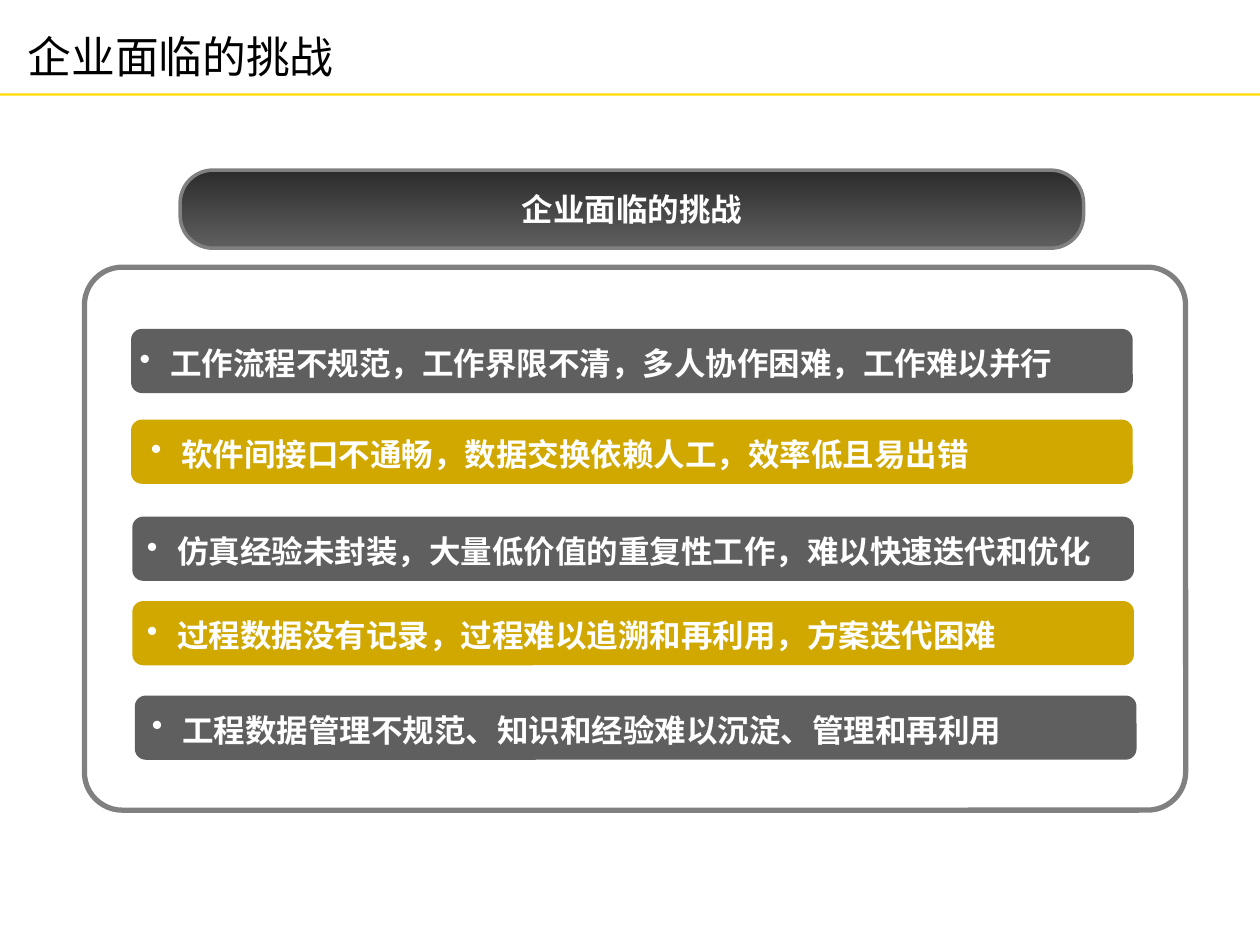
import pptx
import pptx.dml.color
import pptx.enum.shapes
import pptx.enum.text
import pptx.util
from lxml import etree

Inches = pptx.util.Inches
Pt = pptx.util.Pt
Align = pptx.enum.text.PP_ALIGN
Anchor = pptx.enum.text.MSO_ANCHOR
Preset = pptx.enum.shapes.MSO_SHAPE

FONT = "Arial"
GREY, GOLD, EDGE, WHITE = "5F5F5F", "D0A800", "808080", "FFFFFF"
TITLE = "企业面临的挑战"
BAR_WIDTH, BAR_HEIGHT = 7.95, 0.51
LABEL_WIDTH, LABEL_HEIGHT = 5.47, 0.36
LABEL_DROP = 0.09

# Bar left, bar top, label left, wording
CHALLENGES = [
    (1.04, 2.61, 1.46, "工作流程不规范，工作界限不清，多人协作困难，工作难以并行"),
    (1.04, 3.33, 1.09, "软件间接口不通畅，数据交换依赖人工，效率低且易出错"),
    (1.05, 4.10, 1.06, "仿真经验未封装，大量低价值的重复性工作，难以快速迭代和优化"),
    (1.05, 4.77, 1.06, "过程数据没有记录，过程难以追溯和再利用，方案迭代困难"),
    (1.07, 5.52, 1.10, "工程数据管理不规范、知识和经验难以沉淀、管理和再利用"),
]


def color(value):
    return pptx.dml.color.RGBColor.from_string(value)


def add_box(page, area, fill=None, line=None, weight=0, corner=None):
    """Add a rectangle, rounded when a corner share is given."""
    preset = Preset.RECTANGLE if corner is None else Preset.ROUNDED_RECTANGLE
    box = page.shapes.add_shape(preset, *map(Inches, area))
    box.shadow.inherit = False
    if corner is not None:
        box.adjustments[0] = corner
    if fill:
        box.fill.solid()
        box.fill.fore_color.rgb = color(fill)
    else:
        box.fill.background()
    if line:
        box.line.color.rgb = color(line)
        box.line.width = Pt(weight)
    else:
        box.line.fill.background()
    return box


def shade_downward(box, top, bottom):
    box.fill.gradient()
    box.fill.gradient_angle = 270
    for stop, value, position in zip(box.fill.gradient_stops, (top, bottom), (0, 1)):
        stop.color.rgb = color(value)
        stop.position = position


def add_bullet(para, indent):
    properties = para._p.get_or_add_pPr()
    properties.set("marL", str(Inches(indent)))
    properties.set("indent", str(-Inches(indent)))
    bullet = etree.SubElement(properties, pptx.oxml.ns.qn("a:buChar"))
    bullet.set("char", "•")


def write(box, text, size, value, align, bold=False, bullet=False, wrap=False):
    frame = box.text_frame
    frame.word_wrap = wrap
    frame.vertical_anchor = Anchor.MIDDLE
    frame.text = text
    para = frame.paragraphs[0]
    para.alignment = align
    if bullet:
        add_bullet(para, 0.24)
    para.font.name = FONT
    para.font.size = Pt(size)
    para.font.bold = bold
    para.font.color.rgb = color(value)


def add_title(page):
    title = page.shapes.title
    title.left, title.top, title.width, title.height = map(
        Inches, (0.12, -0.02, 7.34, 0.93))
    write(title, TITLE, 25, "000000", Align.LEFT, wrap=True)
    add_box(page, (0, 0.74, 10, 0.02), fill="FFDB01")


def add_panel(page):
    add_box(page, (0.67, 2.12, 8.74, 4.31), line=EDGE, weight=3, corner=0.07)
    header = add_box(page, (1.43, 1.35, 7.17, 0.62), line=EDGE, weight=2, corner=0.42)
    shade_downward(header, "2C2C2C", GREY)
    write(header, TITLE, 18, WHITE, Align.CENTER, bold=True)


def add_challenge(page, index, left, top, label_left, text):
    add_box(page, (left, top, BAR_WIDTH, BAR_HEIGHT),
            fill=GOLD if index % 2 else GREY, corner=0.17)
    first = index == 0
    width = 6.54 if first else LABEL_WIDTH
    label = add_box(page, (label_left, top + LABEL_DROP, width, LABEL_HEIGHT),
                    corner=0.08)
    write(label, text, 18, WHITE, Align.CENTER if first else Align.LEFT,
          bold=True, bullet=True)


def main():
    deck = pptx.Presentation()
    deck.slide_width, deck.slide_height = Inches(10), Inches(7.5)
    page = deck.slides.add_slide(deck.slide_layouts[5])
    add_title(page)
    add_panel(page)
    for index, challenge in enumerate(CHALLENGES):
        add_challenge(page, index, *challenge)
    deck.save("out.pptx")


if __name__ == "__main__":
    main()
